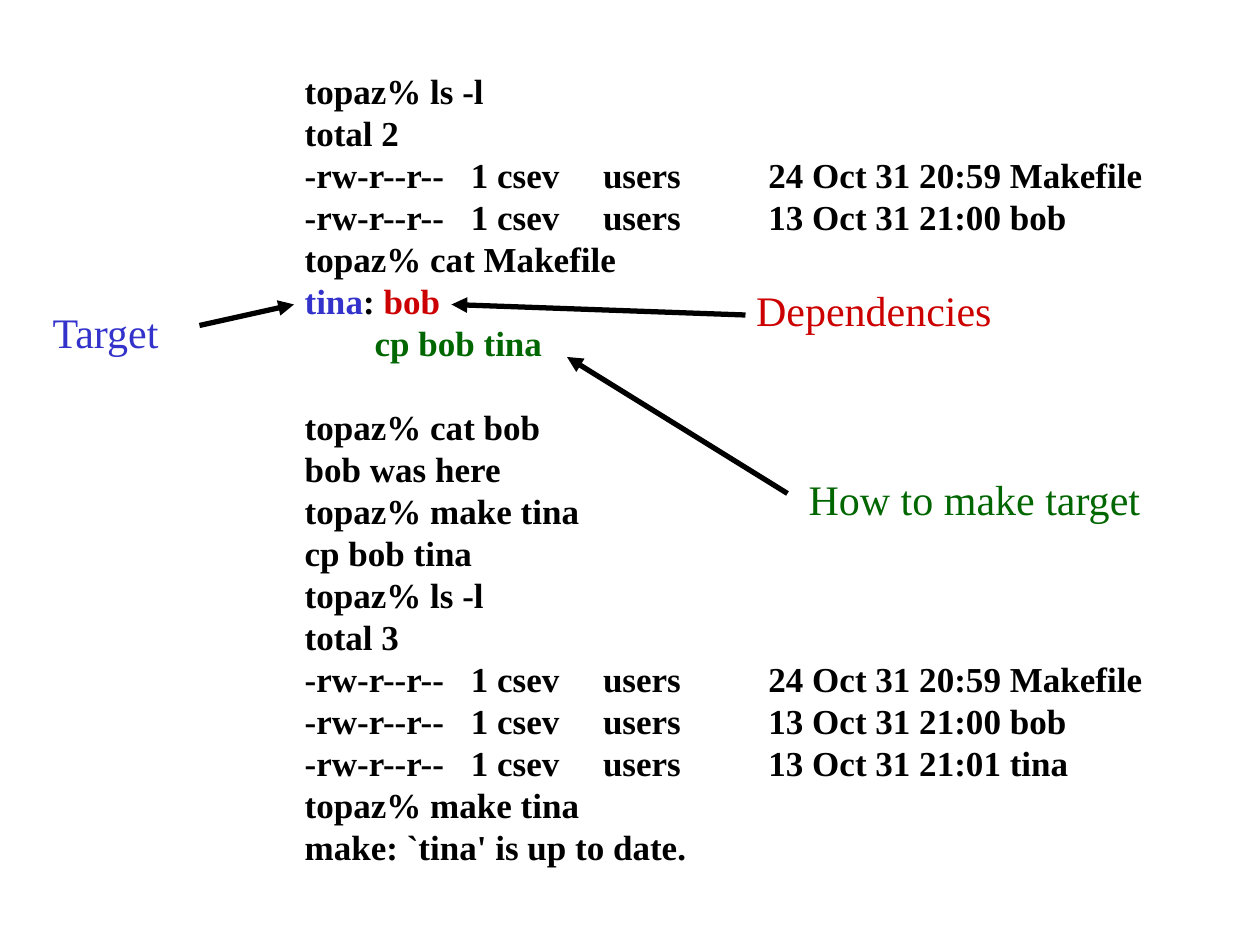
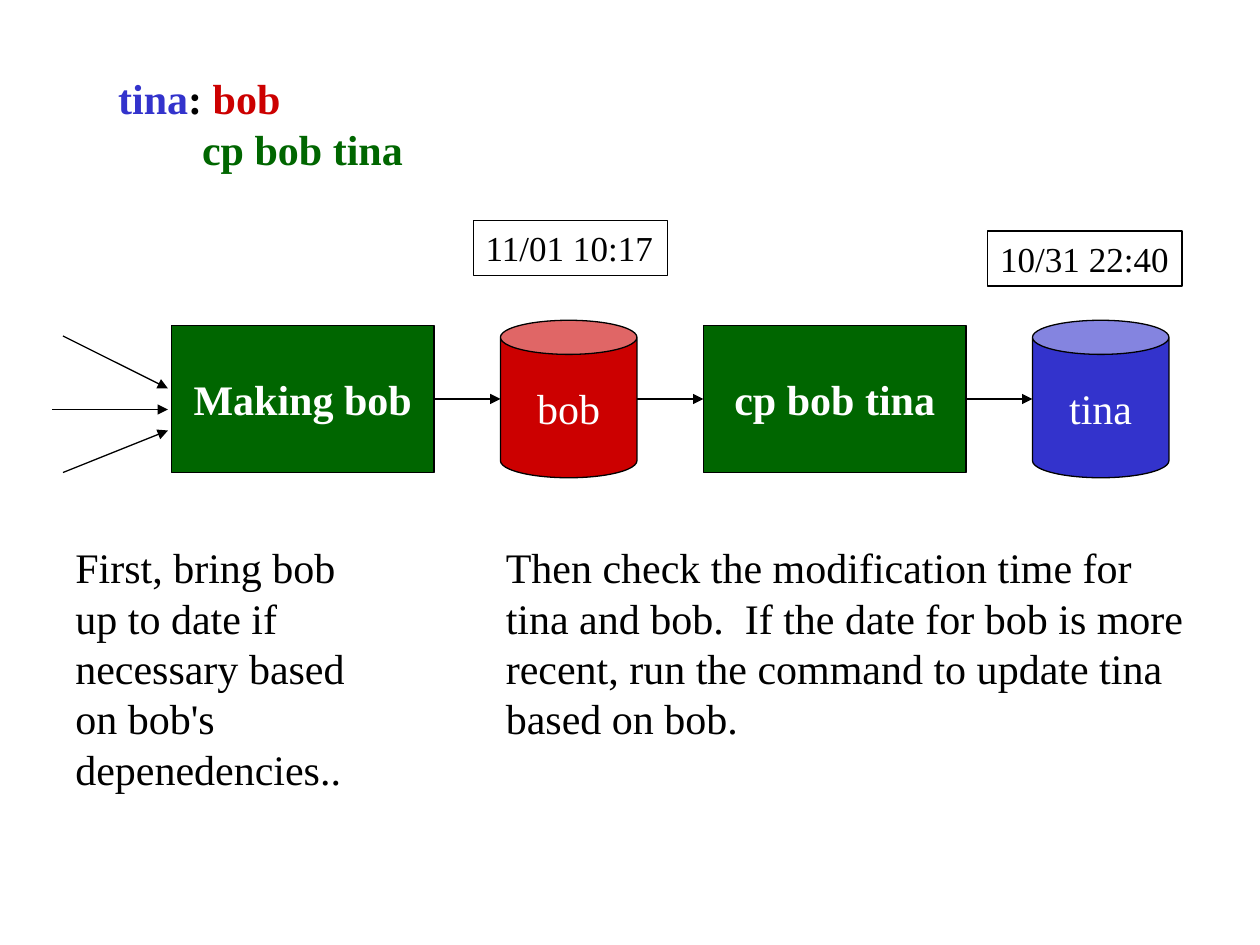
from itertools import pairwise
from typing import NamedTuple

from lxml import etree
from pptx import Presentation
from pptx.dml.color import RGBColor
from pptx.enum import shapes, text
from pptx.oxml.ns import qn
from pptx.util import Pt

FONT = "Times New Roman"
BLACK, WHITE = "000000", "FFFFFF"
TARGET, DEPENDENCY, COMMAND = "3333CC", "CC0000", "006600"
CODE_TABS = (95, 170.5, 265)
RECT, CAN = shapes.MSO_SHAPE.RECTANGLE, shapes.MSO_SHAPE.CAN
RIGHT_SIDE, LEFT_SIDE = 3, 1

Line = list[tuple[str, str]]  # runs of (wording, colour)

RULE: list[Line] = [
    [("tina", TARGET), (": ", BLACK), ("bob", DEPENDENCY)],
    [("        cp bob tina", COMMAND)],
]
FILES = [
    "-rw-r--r--\t1 csev\tusers\t24 Oct 31 20:59 Makefile",
    "-rw-r--r--\t1 csev\tusers\t13 Oct 31 21:00 bob",
]
BEFORE_RULE = ["topaz% ls -l", "total 2", *FILES, "topaz% cat Makefile"]
AFTER_RULE = [
    "topaz% cat bob", "bob was here", "topaz% make tina", "cp bob tina",
    "topaz% ls -l", "total 3", *FILES,
    "-rw-r--r--\t1 csev\tusers\t13 Oct 31 21:01 tina",
    "topaz% make tina", "make: `tina' is up to date.",
]


class Box(NamedTuple):
    left: float
    top: float
    width: float
    height: float


class Label(NamedTuple):
    wording: str
    box: Box
    colour: str = BLACK
    size: float = 24
    wrap: bool = False
    outlined: bool = False


class Arrow(NamedTuple):
    x1: float
    y1: float
    x2: float
    y2: float


class Step(NamedTuple):
    wording: str
    kind: shapes.MSO_SHAPE
    fill: str


LABELS = [
    Label("Target", Box(23, 171.5, 77, 36), TARGET),
    Label("Dependencies", Box(425, 159, 149, 36), DEPENDENCY),
    Label("How to make target", Box(455, 267, 204.5, 36), COMMAND),
]
POINTERS = [
    Arrow(114, 186, 168, 174),
    Arrow(426, 180, 258, 174),
    Arrow(450, 282, 324, 204),
]

STEPS = [
    Step("Making bob", RECT, COMMAND),
    Step("bob", CAN, DEPENDENCY),
    Step("cp bob tina", RECT, COMMAND),
    Step("tina", CAN, TARGET),
]
STEP_SIZES = {RECT: (150, 84), CAN: (78, 90)}
STEPS_LEFT, STEPS_MIDDLE, STEP_GAP = 98, 228, 38
INPUTS = [
    Arrow(36, 192, 96, 222),
    Arrow(30, 234, 96, 234),
    Arrow(36, 270, 96, 246),
]
NOTES = [
    Label("Then check the modification time for tina and bob.  If the date for bob "
          "is more recent, run the command to update tina based on bob.",
          Box(282, 306, 402, 122.5), wrap=True),
    Label("First, bring bob up to date if necessary based on bob's depenedencies..",
          Box(36, 306, 180, 151), wrap=True),
    Label("11/01 10:17", Box(270.5, 126, 111, 31.5), size=20, outlined=True),
    Label("10/31 22:40", Box(564.5, 132, 111, 31.5), size=20, outlined=True),
]


def rgb(colour: str) -> RGBColor:
    return RGBColor.from_string(colour)


def set_line(line, weight: float) -> None:
    line.color.rgb = rgb(BLACK)
    line.width = Pt(weight)


def write(sp, lines: list[Line], size: float, bold: bool = False, **frame) -> None:
    """Fill a shape with lines of coloured runs; frame holds text frame settings."""
    tf = sp.text_frame
    for name, value in {"word_wrap": False, **frame}.items():
        setattr(tf, name, value)
    for i, line in enumerate(lines):
        p = tf.add_paragraph() if i else tf.paragraphs[0]
        for wording, colour in line:
            r = p.add_run()
            r.text = wording
            for name, value in {"name": FONT, "size": Pt(size), "bold": bold}.items():
                setattr(r.font, name, value)
            r.font.color.rgb = rgb(colour)


def add_code(slide, box: Box, lines: list[Line], size: float):
    sp = slide.shapes.add_textbox(*map(Pt, box))
    write(sp, lines, size, bold=True, auto_size=text.MSO_AUTO_SIZE.SHAPE_TO_FIT_TEXT)
    return sp


def set_tabs(p, stops: tuple[float, ...]) -> None:
    tabs = etree.SubElement(p._p.get_or_add_pPr(), qn("a:tabLst"))
    for stop in stops:
        etree.SubElement(tabs, qn("a:tab"), pos=str(int(Pt(stop))), algn="l")


def add_label(slide, label: Label) -> None:
    sp = slide.shapes.add_textbox(*map(Pt, label.box))
    if label.outlined:
        set_line(sp.line, 0.75)
    write(sp, [[(label.wording, label.colour)]], label.size, word_wrap=label.wrap,
          auto_size=text.MSO_AUTO_SIZE.SHAPE_TO_FIT_TEXT)


def add_arrow(slide, arrow: Arrow, weight: float):
    cxn = slide.shapes.add_connector(shapes.MSO_CONNECTOR.STRAIGHT, *map(Pt, arrow))
    set_line(cxn.line, weight)
    etree.SubElement(cxn.line._get_or_add_ln(), qn("a:tailEnd"), type="triangle")
    etree.SubElement(cxn._element.spPr, qn("a:effectLst"))
    return cxn


def add_step(slide, step: Step, left: float):
    width, height = STEP_SIZES[step.kind]
    box = Box(left, STEPS_MIDDLE - height / 2, width, height)
    sp = slide.shapes.add_shape(step.kind, *map(Pt, box))
    sp.shadow.inherit = False
    sp.fill.solid()
    sp.fill.fore_color.rgb = rgb(step.fill)
    set_line(sp.line, 0.75)
    write(sp, [[(step.wording, WHITE)]], 24, bold=step.kind == RECT,
          vertical_anchor=text.MSO_ANCHOR.MIDDLE)
    sp.text_frame.paragraphs[0].alignment = text.PP_ALIGN.CENTER
    return sp


def add_chain(slide) -> None:
    """Lay the steps out with equal gaps and join each one to the next."""
    left, drawn = STEPS_LEFT, []
    for step in STEPS:
        drawn.append((step, left, add_step(slide, step, left)))
        left += STEP_SIZES[step.kind][0] + STEP_GAP
    for (step, _, sp), (next_step, next_left, next_sp) in pairwise(drawn):
        cxn = add_arrow(slide, Arrow(next_left - STEP_GAP, STEPS_MIDDLE,
                                     next_left, STEPS_MIDDLE), 0.75)
        if step.kind == RECT:
            cxn.begin_connect(sp, RIGHT_SIDE)
        if next_step.kind == RECT:
            cxn.end_connect(next_sp, LEFT_SIDE)


def build_session(slide) -> None:
    before, after = ([[(s, BLACK)] for s in part] for part in (BEFORE_RULE, AFTER_RULE))
    sp = add_code(slide, Box(167, 36, 495, 464), before + RULE + after, 20)
    paragraphs = sp.text_frame.paragraphs
    for p in paragraphs:
        if "\t" in p.text:
            set_tabs(p, CODE_TABS)
    paragraphs[len(before + RULE)].space_before = Pt(24)
    for label in LABELS:
        add_label(slide, label)
    for arrow in POINTERS:
        add_arrow(slide, arrow, 3)


def build_flow(slide) -> None:
    add_code(slide, Box(60.5, 38, 177, 65), RULE, 24)
    add_chain(slide)
    for note in NOTES:
        add_label(slide, note)
    for arrow in INPUTS:
        add_arrow(slide, arrow, 0.75)


def main() -> None:
    prs = Presentation()
    prs.slide_width, prs.slide_height = Pt(720), Pt(540)
    for build in (build_session, build_flow):
        build(prs.slides.add_slide(prs.slide_layouts[6]))
    prs.save("out.pptx")


if __name__ == "__main__":
    main()
